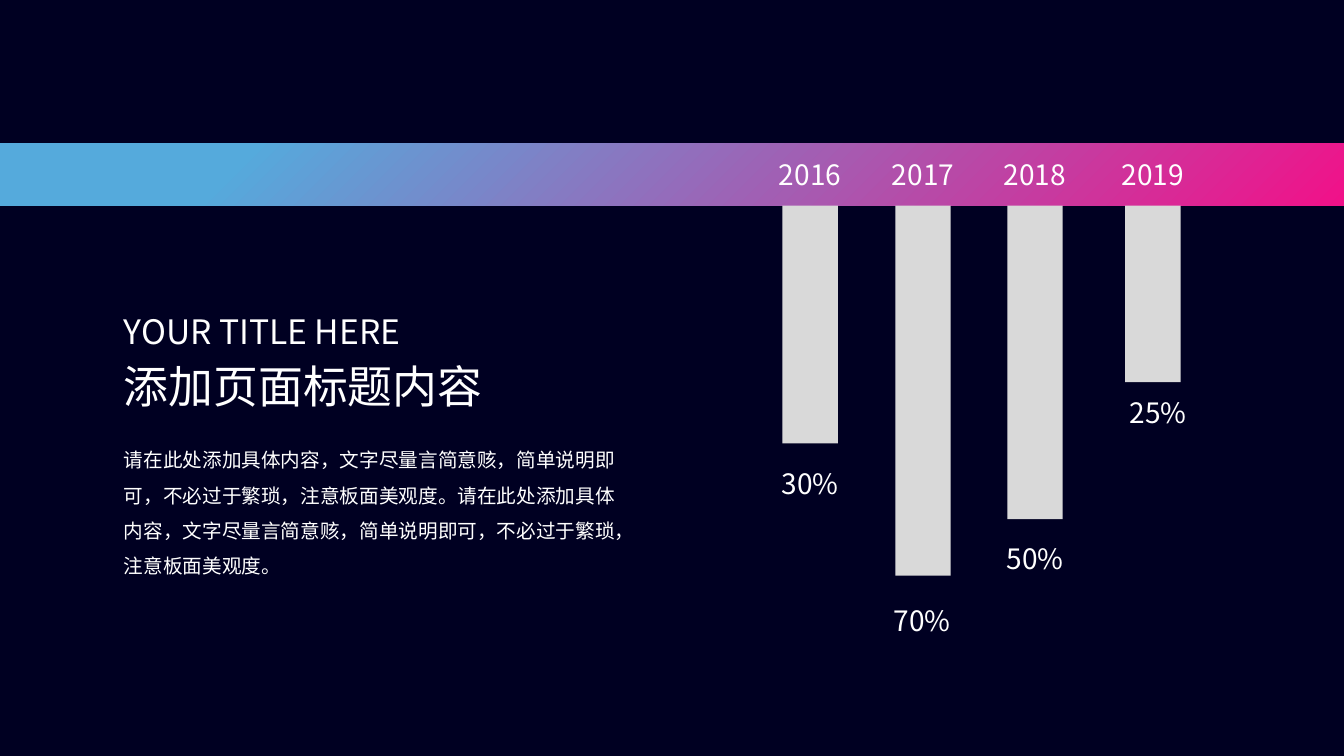
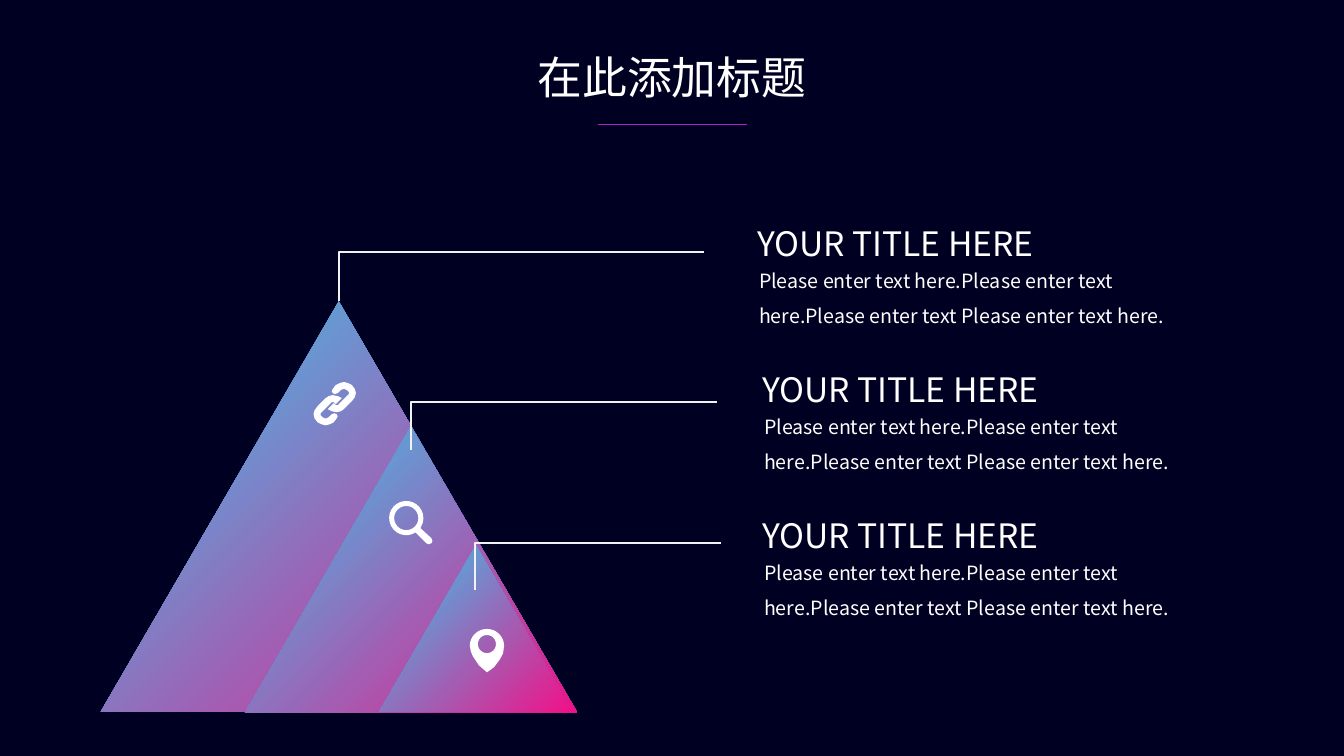
import math

import lxml.etree
import pptx
import pptx.dml.color
import pptx.enum.shapes
import pptx.enum.text
import pptx.oxml.ns
import pptx.util

Inches = pptx.util.Inches
SHAPES = pptx.enum.shapes.MSO_SHAPE
CONNECTORS = pptx.enum.shapes.MSO_CONNECTOR
ALIGN = pptx.enum.text.PP_ALIGN
qn = pptx.oxml.ns.qn

COLORS = {
    "night": "000022",
    "blue": "55AADC",
    "pink": "F11189",
    "bar": "D9D9D9",
    "rule": "B31DC9",
    "leader": "F2F2F2",
    "white": "FFFFFF",
}


def color(name):
    return pptx.dml.color.RGBColor.from_string(COLORS[name])


def arc(x, y, radius, start=0, end=360, steps=24):
    angles = [math.radians(start + (end - start) * i / steps) for i in range(steps + 1)]
    return [(x + radius * math.cos(a), y + radius * math.sin(a)) for a in angles]


class SlideBuilder:
    font = "Noto Sans CJK SC"

    def __init__(self, deck):
        self.deck = deck
        self.page = None

    def new_page(self):
        self.page = self.deck.slides.add_slide(self.deck.slide_layouts[6])
        fill = self.page.background.fill
        fill.solid()
        fill.fore_color.rgb = color("night")

    def text(self, text, left, top, width, height, size, align=ALIGN.LEFT,
             spacing=None, wrap=True, grow=True):
        box = self.page.shapes.add_textbox(Inches(left), Inches(top), Inches(width), Inches(height))
        frame = box.text_frame
        frame.text = text
        frame.word_wrap = wrap
        if grow:
            frame.auto_size = pptx.enum.text.MSO_AUTO_SIZE.SHAPE_TO_FIT_TEXT
        paragraph = frame.paragraphs[0]
        paragraph.alignment = align
        paragraph.line_spacing = spacing
        for span in paragraph.runs:
            span.font.size = pptx.util.Pt(size)
            span.font.name = self.font
            span.font.color.rgb = color("white")
            east_asian = lxml.etree.SubElement(span.font._element, qn("a:ea"))
            east_asian.set("typeface", self.font)

    def heading(self, text, left, top, width):
        self.text(text, left, top, width, 0.47, 24, grow=False)

    def paint(self, shape, fill_name):
        shape.shadow.inherit = False
        shape.line.fill.background()
        shape.fill.solid()
        shape.fill.fore_color.rgb = color(fill_name)

    def bar(self, left, top, width, height):
        bar = self.page.shapes.add_shape(
            SHAPES.RECTANGLE, Inches(left), Inches(top), Inches(width), Inches(height))
        self.paint(bar, "bar")

    def gradient(self, kind, left, top, width, height):
        shape = self.page.shapes.add_shape(
            kind, Inches(left), Inches(top), Inches(width), Inches(height))
        shape.shadow.inherit = False
        shape.line.fill.background()
        shape.fill.gradient()
        shape.fill.gradient_angle = 315
        stops = zip(shape.fill.gradient_stops, ((0.18, "blue"), (1, "pink")))
        for stop, (position, name) in stops:
            stop.position = position
            stop.color.rgb = color(name)

    def line(self, kind, start, end, name, weight):
        line = self.page.shapes.add_connector(kind, *map(Inches, start + end))
        line.line.color.rgb = color(name)
        line.line.width = pptx.util.Pt(weight)
        lxml.etree.SubElement(line._element.spPr, qn("a:effectLst"))
        return line

    def leader(self, left, bottom, right, top):
        rise, run = bottom - top, right - left
        x, y = (left + right) / 2, (top + bottom) / 2
        leader = self.line(CONNECTORS.ELBOW, (x + rise / 2, y + run / 2),
                           (x - rise / 2, y - run / 2), "leader", 1.5)
        properties = leader._element.spPr
        properties.find(qn("a:xfrm")).set("rot", "5400000")
        properties.find(qn("a:prstGeom")).set("prst", "bentConnector2")

    def icon(self, *outlines):
        builder = None
        for outline in outlines:
            points = [(Inches(x), Inches(y)) for x, y in outline]
            if builder is None:
                builder = self.page.shapes.build_freeform(*points[0])
            else:
                builder.move_to(*points[0])
            builder.add_line_segments(points[1:], close=True)
        self.paint(builder.convert_to_shape(), "white")


def build_bars(slide):
    slide.new_page()
    slide.gradient(SHAPES.RECTANGLE, 0, 1.42, 13.33, 0.62)
    columns = [
        ("2016", "30%", 7.76, 2.36, 7.48, 4.58),
        ("2017", "70%", 8.88, 3.67, 8.59, 5.94),
        ("2018", "50%", 9.99, 3.11, 9.71, 5.32),
        ("2019", "25%", 11.16, 1.75, 10.93, 3.87),
    ]
    for year, value, left, height, value_left, value_top in columns:
        slide.bar(left, 2.04, 0.55, height)
        slide.text(value, value_left, value_top, 1.11, 0.44, 20, ALIGN.CENTER)
        slide.text(year, left - 0.28, 1.51, 1.11, 0.44, 20, ALIGN.CENTER)
    slide.text("添加页面标题内容", 1.13, 3.51, 3.79, 0.64, 32, wrap=False)
    slide.heading("YOUR TITLE HERE", 1.13, 3.04, 3.48)
    slide.text("请在此处添加具体内容，文字尽量言简意赅，简单说明即可，不必过于繁琐，注意板面美观度。"
               "请在此处添加具体内容，文字尽量言简意赅，简单说明即可，不必过于繁琐，注意板面美观度。",
               1.13, 4.28, 5.12, 1.51, 14, spacing=1.5)


def draw_icons(slide):
    handle = [(4.17, 5.24), (4.28, 5.34), (4.29, 5.37), (4.28, 5.39),
              (4.25, 5.4), (4.23, 5.39), (4.12, 5.28)]
    slide.icon(arc(4.03, 5.14, 0.12), arc(4.03, 5.14, 0.17, 55, 390) + handle)

    link = [(3.3, 3.92), (3.35, 3.93), (3.39, 3.95), (3.33, 4.01), (3.31, 3.99),
            (3.29, 3.99), (3.28, 4), (3.2, 4.08), (3.18, 4.1), (3.18, 4.12),
            (3.2, 4.14), (3.22, 4.15), (3.24, 4.15), (3.26, 4.14), (3.29, 4.11),
            (3.32, 4.1), (3.34, 4.11), (3.35, 4.13), (3.34, 4.15), (3.31, 4.19),
            (3.27, 4.21), (3.23, 4.22), (3.19, 4.21), (3.15, 4.19), (3.12, 4.15),
            (3.11, 4.11), (3.12, 4.07), (3.15, 4.03), (3.23, 3.95), (3.26, 3.93)]
    slide.icon(link, [(6.64 - x, 8.01 - y) for x, y in link])

    tip = [(4.99, 6.48), (4.96, 6.54), (4.9, 6.62), (4.83, 6.67),
           (4.75, 6.6), (4.69, 6.51), (4.67, 6.46)]
    slide.icon(arc(4.83, 6.39, 0.09), arc(4.83, 6.41, 0.17, 180, 360) + tip)


def build_pyramid(slide):
    slide.new_page()
    slide.text("在此添加标题", 4.51, 0.44, 4.31, 0.64, 32, ALIGN.CENTER)
    slide.line(CONNECTORS.STRAIGHT, (5.93, 1.23), (7.41, 1.23), "rule", 0.5)
    levels = [
        ((1, 2.99, 4.72, 4.07), (3.36, 2.99, 6.98, 2.5), 7.41, 2.16),
        ((2.43, 4.23, 3.29, 2.84), (4.08, 4.46, 7.11, 3.99), 7.46, 3.61),
        ((3.76, 5.41, 1.92, 1.65), (4.71, 5.85, 7.15, 5.39), 7.46, 5.06),
    ]
    for triangle, leader, left, top in levels:
        slide.gradient(SHAPES.ISOSCELES_TRIANGLE, *triangle)
        slide.leader(*leader)
        slide.heading("YOUR TITLE HERE", left, top, 3.29)
        slide.text("Please enter text here.Please enter text here."
                   "Please enter text Please enter text here.",
                   left + 0.02, top + 0.34, 4.54, 0.77, 14, spacing=1.5)
    draw_icons(slide)


def main():
    deck = pptx.Presentation()
    deck.slide_width = Inches(13.33)
    deck.slide_height = Inches(7.5)
    slide = SlideBuilder(deck)
    build_bars(slide)
    build_pyramid(slide)
    deck.save("out.pptx")


if __name__ == "__main__":
    main()
